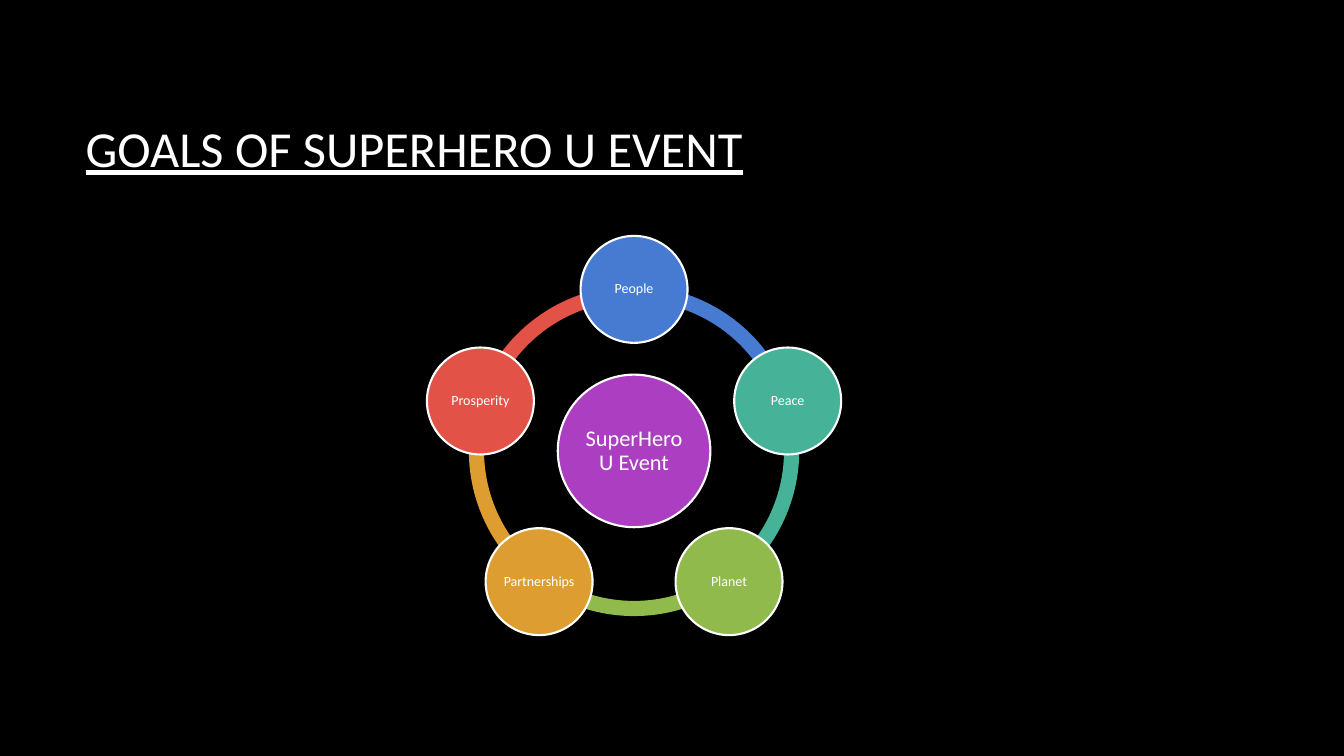
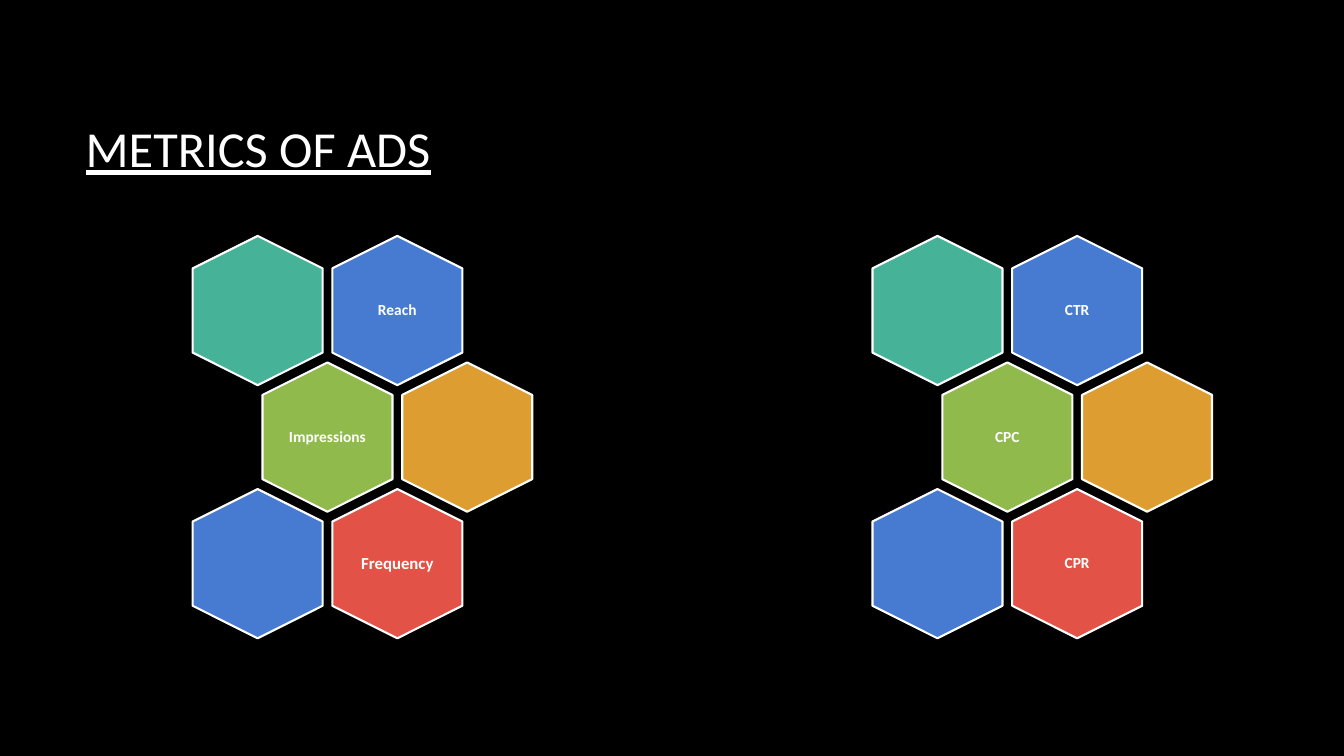
import math
from dataclasses import dataclass

import pptx
import pptx.dml.color
import pptx.enum.shapes
import pptx.enum.text
import pptx.util

Pt = pptx.util.Pt
Preset = pptx.enum.shapes.MSO_SHAPE
Align = pptx.enum.text.PP_ALIGN
Anchor = pptx.enum.text.MSO_ANCHOR


def rgb(code):
    return pptx.dml.color.RGBColor.from_string(code)


@dataclass(frozen=True)
class Theme:
    font: str = "Calibri"
    background: str = "000000"
    ink: str = "FFFFFF"
    blue: str = "477BD1"
    teal: str = "46B298"
    green: str = "90BA4C"
    amber: str = "DD9D31"
    red: str = "E25247"
    purple: str = "AC3EC1"
    title_size: int = 36
    hub_size: int = 16
    goal_size: int = 10
    metric_size: int = 11
    large_metric_size: int = 12
    outline: float = 1.5


class Deck:
    TITLE_ONLY = 5

    def __init__(self, theme):
        self.theme = theme
        self.presentation = pptx.Presentation()
        self.presentation.slide_width = Pt(960)
        self.presentation.slide_height = Pt(540)
        backdrop = self.presentation.slide_master.background.fill
        backdrop.solid()
        backdrop.fore_color.rgb = rgb(theme.background)
        self.slide = None

    def add_slide(self, heading):
        layout = self.presentation.slide_layouts[self.TITLE_ONLY]
        self.slide = self.presentation.slides.add_slide(layout)
        title = self.slide.shapes.title
        title.left, title.top = Pt(54), Pt(48)
        title.width, title.height = Pt(798), Pt(114.5)
        title.text_frame.vertical_anchor = Anchor.MIDDLE
        paragraph = title.text_frame.paragraphs[0]
        paragraph.alignment = Align.LEFT
        self.run(paragraph, heading, self.theme.title_size).underline = True

    def run(self, paragraph, wording, size, bold=False):
        run = paragraph.add_run()
        run.text = wording
        run.font.name = self.theme.font
        run.font.size = Pt(size)
        run.font.bold = bold
        run.font.color.rgb = rgb(self.theme.ink)
        return run.font

    def shape(self, preset, center, width, height, color, outlined=True):
        x, y = center
        shape = self.slide.shapes.add_shape(
            preset, Pt(x - width / 2), Pt(y - height / 2), Pt(width), Pt(height))
        shape.shadow.inherit = False
        shape.fill.solid()
        shape.fill.fore_color.rgb = rgb(color)
        if outlined:
            shape.line.color.rgb = rgb(self.theme.ink)
            shape.line.width = Pt(self.theme.outline)
        else:
            shape.line.fill.background()
        return shape

    def label(self, shape, wording, size, bold=False, wrap=True):
        frame = shape.text_frame
        frame.word_wrap = wrap
        frame.vertical_anchor = Anchor.MIDDLE
        frame.margin_left = frame.margin_right = Pt(1)
        frame.margin_top = frame.margin_bottom = Pt(1)
        paragraph = frame.paragraphs[0]
        paragraph.alignment = Align.CENTER
        paragraph.line_spacing = 0.9
        self.run(paragraph, wording, size, bold)

    def circle(self, center, diameter, color, wording, size):
        circle = self.shape(Preset.OVAL, center, diameter, diameter, color)
        self.label(circle, wording, size)

    def arc(self, center, diameter, start, end, color):
        arc = self.shape(Preset.BLOCK_ARC, center, diameter, diameter, color, outlined=False)
        units_per_degree = 0.6
        arc.adjustments[0] = start % 360 * units_per_degree
        arc.adjustments[1] = end % 360 * units_per_degree
        arc.adjustments[2] = 0.046

    def hexagon(self, center, color, wording, size):
        hexagon = self.shape(Preset.HEXAGON, center, 106.6, 92.9, color)
        hexagon.rotation = 90
        if wording:
            self.label(hexagon, wording, size, bold=True, wrap=False)
            hexagon.text_frame._txBody.bodyPr.set("vert", "vert270")

    def goal_wheel(self, center, hub, goals):
        x, y = center
        orbit, step = 115.4, 360 / len(goals)
        angles = [270 + step * index for index in range(len(goals))]
        for angle, (_, color) in zip(angles, goals):
            self.arc(center, 236, angle, angle + step, color)
        self.circle(center, 109, self.theme.purple, hub, self.theme.hub_size)
        for angle, (goal, color) in zip(angles, goals):
            turn = math.radians(angle)
            spot = (x + orbit * math.cos(turn), y + orbit * math.sin(turn))
            self.circle(spot, 76.4, color, goal, self.theme.goal_size)

    def honeycomb(self, left, metrics, sizes):
        theme = self.theme
        top, column_pitch, row_pitch = 221.8, 99.8, 90.4
        top_metric, middle_metric, bottom_metric = metrics
        rows = [
            [(theme.teal, None), (theme.blue, top_metric)],
            [(theme.green, middle_metric), (theme.amber, None)],
            [(theme.blue, None), (theme.red, bottom_metric)],
        ]
        for row, (cells, size) in enumerate(zip(rows, sizes)):
            for column, (color, metric) in enumerate(cells):
                x = left + (column + row % 2 / 2) * column_pitch
                self.hexagon((x, top + row * row_pitch), color, metric, size)


def main():
    theme = Theme()
    deck = Deck(theme)

    deck.add_slide("GOALS OF SUPERHERO U EVENT")
    deck.goal_wheel((452.9, 322.1), "SuperHero U Event", [
        ("People", theme.blue),
        ("Peace", theme.teal),
        ("Planet", theme.green),
        ("Partnerships", theme.amber),
        ("Prosperity", theme.red),
    ])

    deck.add_slide("METRICS OF ADS")
    regular, large = theme.metric_size, theme.large_metric_size
    deck.honeycomb(184, ("Reach", "Impressions", "Frequency"), (regular, regular, large))
    deck.honeycomb(669.6, ("CTR", "CPC", "CPR"), (regular, regular, regular))

    deck.presentation.save("out.pptx")


if __name__ == "__main__":
    main()
